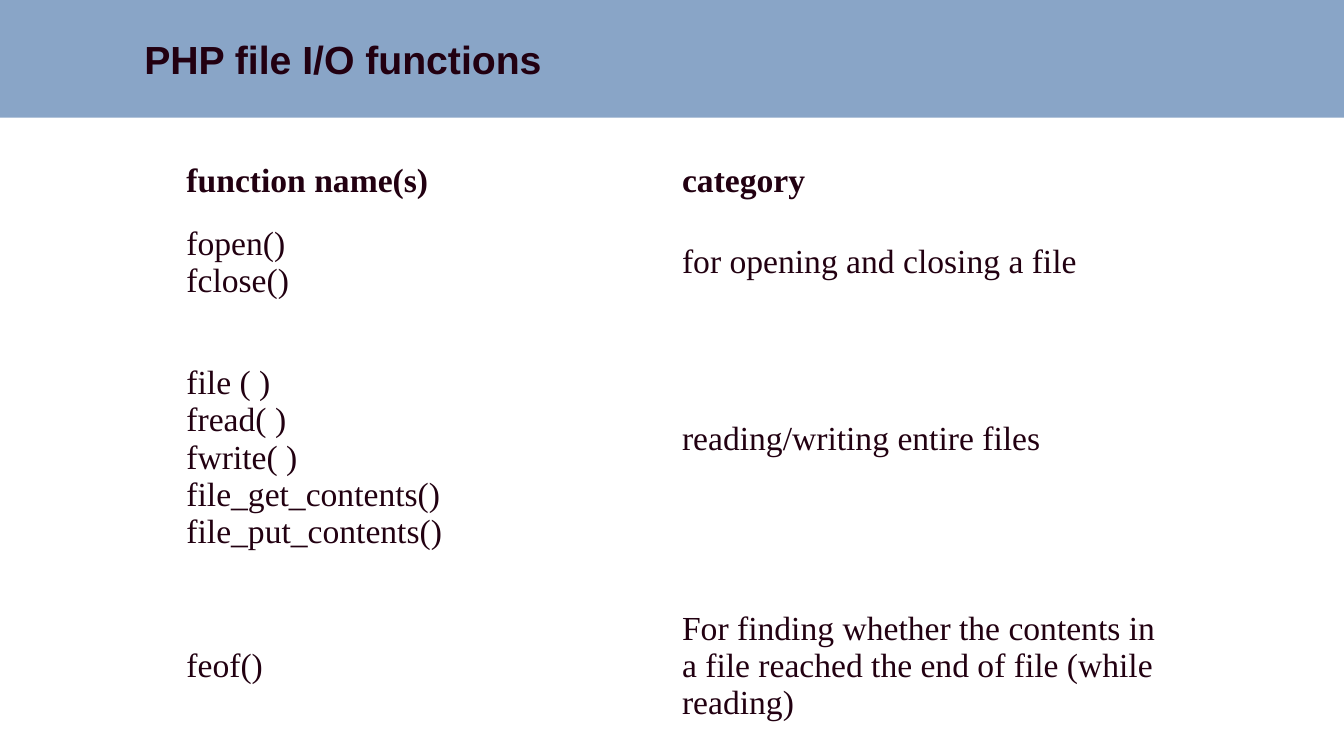
import pptx
import pptx.util
import pptx.dml.color
import pptx.enum.shapes
import pptx.enum.text
import pptx.oxml
import pptx.oxml.ns

TITLE = "PHP file I/O functions"
# Each row: height in px, extra top space per cell in px, text of both cells
ROWS = [
    (56, (0, 0), (["function name(s)"], ["category"])),
    (100, (0, 0), (["fopen()", "fclose()"], ["for opening and closing a file"])),
    (222, (35, 0), (["file ( )", "fread( )", "fwrite( )", "file_get_contents()",
                     "file_put_contents()"], ["reading/writing entire files"])),
    (151, (35, 35), (["feof()"], ["For finding whether the contents in a file "
                                  "reached the end of file (while reading)"])),
]

INK = pptx.dml.color.RGBColor(0x22, 0x00, 0x11)
BANNER = pptx.dml.color.RGBColor(0x89, 0xA5, 0xC7)
WHITE = pptx.dml.color.RGBColor(0xFF, 0xFF, 0xFF)
MIDDLE = pptx.enum.text.MSO_ANCHOR.MIDDLE
NS = pptx.oxml.ns.nsdecls("a")
W, H, BANNER_H = 1280, 720, 112
TABLE_X, TABLE_Y, COL_W = 168, 144, 472
TITLE_X = 128


def px(n):
    return pptx.util.Emu(n * 9525)


def write(p, text, size, name, bold):
    r = p.add_run()
    r.text = text
    for key, value in {"size": pptx.util.Pt(size), "name": name, "bold": bold}.items():
        setattr(r.font, key, value)
    r.font.color.rgb = INK
    return r


def add_borders(cell):
    tcPr = cell._tc.get_or_add_tcPr()
    for i, side in enumerate(("lnL", "lnR", "lnT", "lnB")):
        tcPr.insert(i, pptx.oxml.parse_xml(
            f'<a:{side} {NS} w="12700"><a:solidFill><a:srgbClr val="{WHITE}"/>'
            f'</a:solidFill></a:{side}>'))


prs = pptx.Presentation()
prs.slide_width, prs.slide_height = px(W), px(H)
s = prs.slides.add_slide(prs.slide_layouts[6])

# Banner
banner = s.shapes.add_shape(pptx.enum.shapes.MSO_SHAPE.RECTANGLE, 0, 0, px(W), px(BANNER_H))
banner.shadow.inherit = False
banner.fill.solid()
banner.fill.fore_color.rgb = BANNER
banner.line.fill.background()

# Title with a text shadow
tf = s.shapes.add_textbox(px(TITLE_X), 0, px(W - TITLE_X), px(BANNER_H)).text_frame
tf.word_wrap = True
tf.vertical_anchor = MIDDLE
r = write(tf.paragraphs[0], TITLE, 28, "Arial", True)
r.font.fill._xPr.find(pptx.oxml.ns.qn("a:solidFill")).addnext(pptx.oxml.parse_xml(
    f'<a:effectLst {NS}><a:outerShdw blurRad="38100" dist="38100" dir="2700000">'
    '<a:srgbClr val="000000"/></a:outerShdw></a:effectLst>'))

# Function table
table = s.shapes.add_table(len(ROWS), 2, px(TABLE_X), px(TABLE_Y), px(2 * COL_W),
                           px(sum(row[0] for row in ROWS))).table
table.first_row = table.horz_banding = False
for col in table.columns:
    col.width = px(COL_W)
for i, (height, gaps, texts) in enumerate(ROWS):
    table.rows[i].height = px(height)
    for j, (gap, lines) in enumerate(zip(gaps, texts)):
        cell = table.cell(i, j)
        cell.vertical_anchor = MIDDLE
        cell.margin_top = px(5 + gap)
        cell.fill.background()
        add_borders(cell)
        tf = cell.text_frame
        for k, line in enumerate(lines):
            p = tf.add_paragraph() if k else tf.paragraphs[0]
            write(p, line, 24, "Times New Roman", i == 0)

prs.save("out.pptx")
